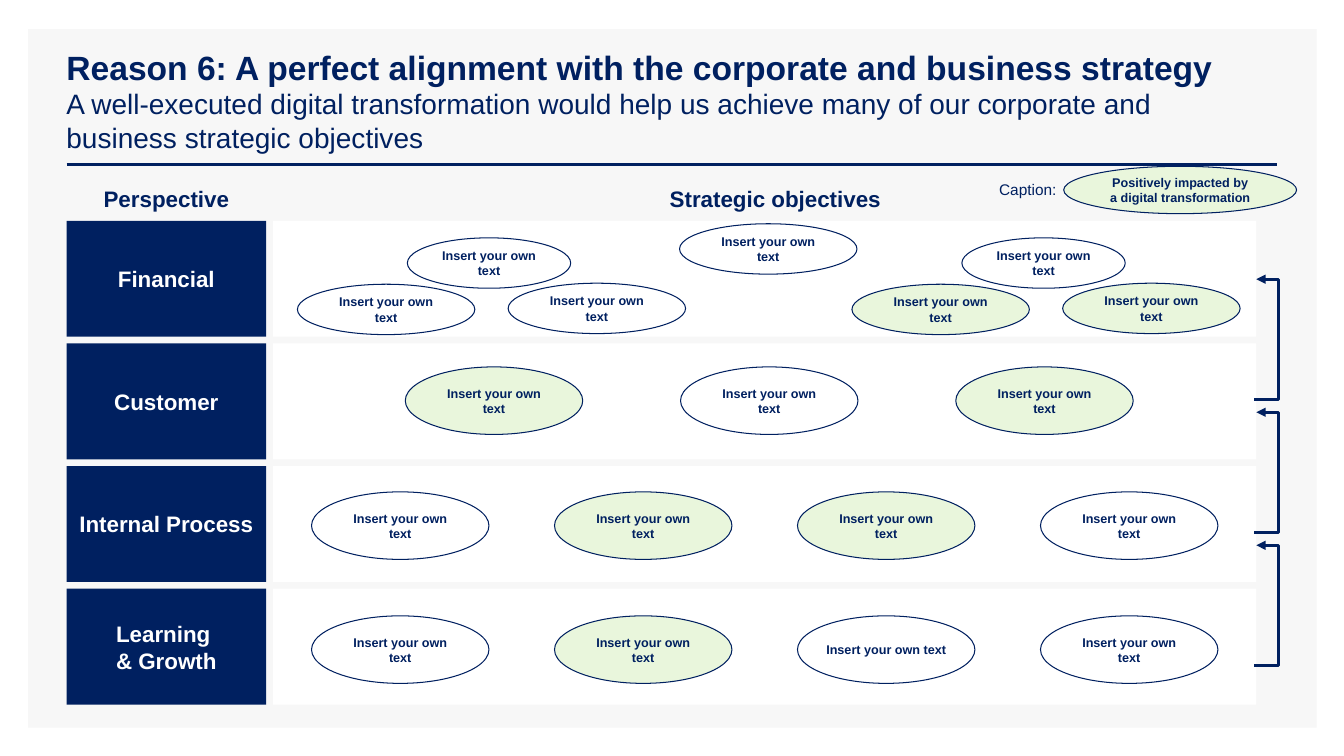
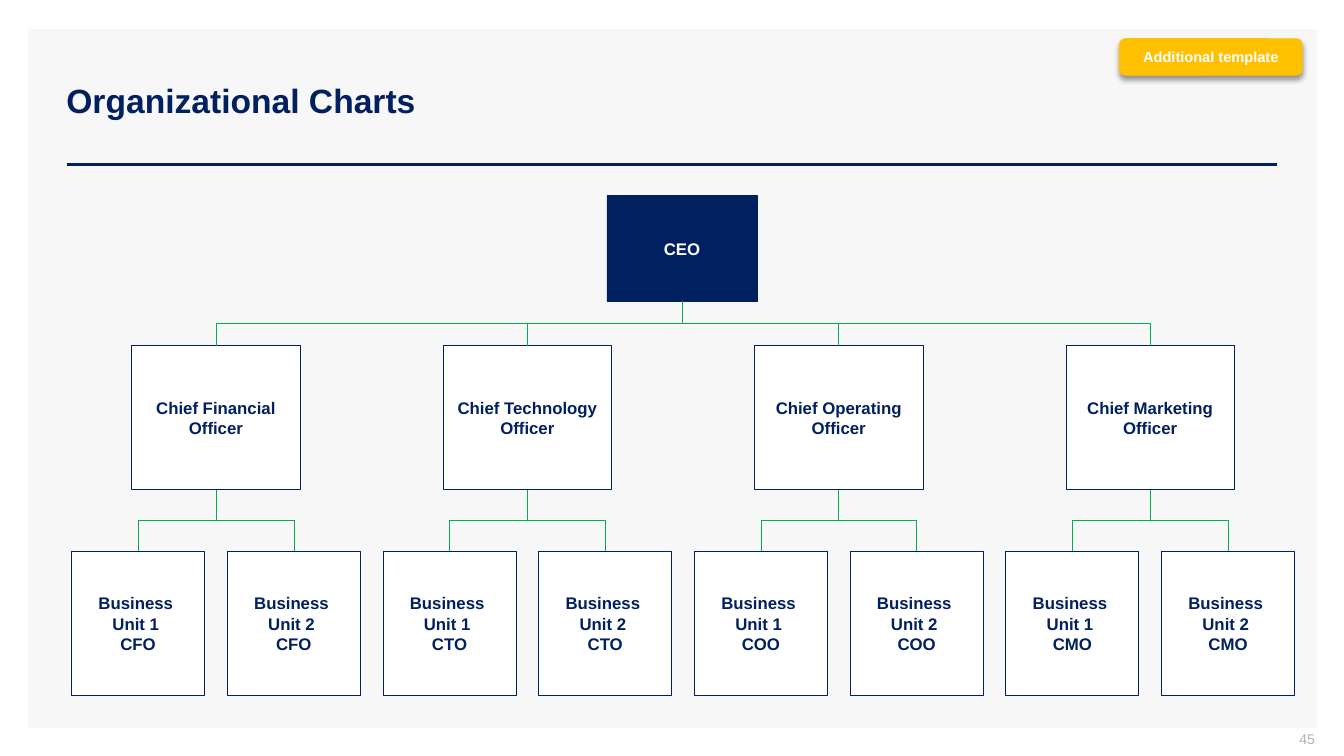
"""Build a strategy map slide and an organizational chart slide."""
from dataclasses import dataclass
from typing import NamedTuple

from lxml import etree
from pptx import Presentation
from pptx.dml.color import RGBColor
from pptx.enum.shapes import MSO_CONNECTOR, MSO_SHAPE
from pptx.enum.text import MSO_ANCHOR, PP_ALIGN
from pptx.oxml.ns import qn
from pptx.shapes.autoshape import Shape
from pptx.shapes.connector import Connector
from pptx.slide import Slide, SlideLayout
from pptx.util import Inches, Pt

RECTANGLE = MSO_SHAPE.RECTANGLE
ROUNDED = MSO_SHAPE.ROUNDED_RECTANGLE
OVAL = MSO_SHAPE.OVAL
STRAIGHT, ELBOW = MSO_CONNECTOR.STRAIGHT, MSO_CONNECTOR.ELBOW
LEFT, CENTER, RIGHT = PP_ALIGN.LEFT, PP_ALIGN.CENTER, PP_ALIGN.RIGHT
MIDDLE = MSO_ANCHOR.MIDDLE
TOP_SITE, BOTTOM_SITE = 0, 2


@dataclass(frozen=True)
class Theme:
    navy: RGBColor = RGBColor(0x00, 0x20, 0x60)
    white: RGBColor = RGBColor(0xFF, 0xFF, 0xFF)
    panel: RGBColor = RGBColor(0xF7, 0xF7, 0xF7)
    highlight: RGBColor = RGBColor(0xE9, 0xF6, 0xDC)
    green: RGBColor = RGBColor(0x00, 0xB0, 0x50)
    amber: RGBColor = RGBColor(0xFF, 0xC0, 0x00)
    gray: RGBColor = RGBColor(0xAD, 0xAF, 0xBB)
    font: str = "Arial"
    title: float = 24
    subtitle: float = 20
    heading: float = 16
    node: float = 12
    caption: float = 11
    badge: float = 10.5
    number: float = 10
    objective: float = 9


THEME = Theme()


class Box(NamedTuple):
    left: float
    top: float
    width: float
    height: float


class TextStyle(NamedTuple):
    size: float
    color: RGBColor = THEME.navy
    bold: bool = True
    align: PP_ALIGN = CENTER
    insets: tuple[float, float, float, float] = (0.1, 0.05, 0.1, 0.05)


class Objective(NamedTuple):
    box: Box
    impacted: bool
    side_inset: float = 0.1


class Officer(NamedTuple):
    title: str
    initials: str


TIGHT = (0, 0.05, 0, 0.05)
TITLE = TextStyle(THEME.title, align=LEFT)
SUBTITLE = TextStyle(THEME.subtitle, bold=False, align=LEFT)
HEADING = TextStyle(THEME.heading, insets=TIGHT)
ROW_LABEL = TextStyle(THEME.heading, THEME.white)
OBJECTIVE = TextStyle(THEME.objective)
CAPTION = TextStyle(THEME.caption, bold=False, align=RIGHT, insets=TIGHT)
BADGE = TextStyle(THEME.badge, THEME.white)
NUMBER = TextStyle(THEME.number, THEME.gray, False, RIGHT, (0.1, 0, 0, 0.05))
CEO = TextStyle(THEME.node, THEME.white, insets=(0.02, 0.02, 0.02, 0.02))
NODE = TextStyle(THEME.node, insets=(0.06, 0.02, 0.06, 0.02))

ROW_TOP, ROW_HEIGHT, ROW_PITCH = 2.19, 1.15, 3.65 / 3
PERSPECTIVES = ("Financial", "Customer", "Internal Process", "Learning \n& Growth")
OVAL_WIDTH, OVAL_HEIGHT, SMALL_WIDTH, SMALL_HEIGHT = 1.76, 0.67, 1.62, 0.5

UNIT_LEFT, UNIT_PITCH, UNIT_WIDTH = 0.71, 10.81 / 7, 1.32
OFFICER_WIDTH, NODE_HEIGHT = 1.67, 1.43
OFFICER_TOP, UNIT_TOP = 3.43, 5.47
OFFICERS = (
    Officer("Chief Financial Officer", "CFO"),
    Officer("Chief Technology Officer", "CTO"),
    Officer("Chief Operating Officer", "COO"),
    Officer("Chief Marketing Officer", "CMO"),
)


def write(shape: Shape, text: str, style: TextStyle, rest: TextStyle | None = None) -> None:
    """Write one paragraph per line; later lines may take another style."""
    frame = shape.text_frame
    left, top, right, bottom = map(Inches, style.insets)
    frame_format = {
        "word_wrap": True, "vertical_anchor": MIDDLE, "margin_left": left,
        "margin_top": top, "margin_right": right, "margin_bottom": bottom,
    }
    for name, value in frame_format.items():
        setattr(frame, name, value)
    for index, line in enumerate(text.split("\n")):
        look = rest if index and rest else style
        paragraph = frame.add_paragraph() if index else frame.paragraphs[0]
        paragraph.alignment = look.align
        run = paragraph.add_run()
        run.text = line
        run.font.color.rgb = look.color
        font_format = {"name": THEME.font, "size": Pt(look.size), "bold": look.bold}
        for name, value in font_format.items():
            setattr(run.font, name, value)


def add_text(slide: Slide, box: Box, text: str, style: TextStyle,
             rest: TextStyle | None = None) -> None:
    """Add a text box."""
    write(slide.shapes.add_textbox(*map(Inches, box)), text, style, rest)


def add_box(slide: Slide, kind: MSO_SHAPE, box: Box, fill: RGBColor, line_width: float = 0,
            text: str = "", style: TextStyle = NODE) -> Shape:
    """Add a flat filled shape with an optional navy outline and text."""
    shape = slide.shapes.add_shape(kind, *map(Inches, box))
    shape.shadow.inherit = False
    shape.fill.solid()
    shape.fill.fore_color.rgb = fill
    if line_width:
        shape.line.color.rgb = THEME.navy
        shape.line.width = Pt(line_width)
    else:
        shape.line.fill.background()
    if text:
        write(shape, text, style)
    return shape


def add_line(slide: Slide, kind: MSO_CONNECTOR, ends: tuple[float, float, float, float],
             color: RGBColor, width: float) -> Connector:
    """Add a connector without a shadow."""
    connector = slide.shapes.add_connector(kind, *map(Inches, ends))
    connector.line.color.rgb = color
    connector.line.width = Pt(width)
    etree.SubElement(connector._element.spPr, qn("a:effectLst"))
    return connector


def add_feedback(slide: Slide, bottom: float) -> None:
    """Add an arrow that loops right and up to the row above."""
    left, width, reach, height = 12.44, 0.02, 0.24, 1.19
    ends = (left, bottom, left + width, bottom - height)
    properties = add_line(slide, ELBOW, ends, THEME.navy, 2.25)._element.spPr
    guides = properties.find(qn("a:prstGeom")).find(qn("a:avLst"))
    bend = round(reach / width * 100000)
    etree.SubElement(guides, qn("a:gd"), name="adj1", fmla=f"val {bend}")
    etree.SubElement(properties.find(qn("a:ln")), qn("a:tailEnd"), type="triangle")


def join(slide: Slide, parent: Shape, child: Shape) -> None:
    """Join a parent's bottom to a child's top with an elbow."""
    connector = add_line(slide, ELBOW, (0, 0, 1, 1), THEME.green, 0.5)
    connector.begin_connect(parent, BOTTOM_SITE)
    connector.end_connect(child, TOP_SITE)
    start_x, start_y = parent.left + parent.width // 2, parent.top + parent.height
    end_x, end_y = child.left + child.width // 2, child.top
    drop, shift = end_y - start_y, abs(end_x - start_x)
    geometry = {
        "left": (start_x + end_x - drop) // 2, "top": (start_y + end_y - shift) // 2,
        "width": drop, "height": shift,
    }
    for name, value in geometry.items():
        setattr(connector, name, value)
    transform = connector._element.spPr.find(qn("a:xfrm"))
    for name in ("flipH", "flipV"):
        transform.attrib.pop(name, None)
    rightward = end_x > start_x
    transform.set("rot", str((270 if rightward else 90) * 60000))
    if rightward:
        transform.set("flipH", "1")


def install_frame(layout: SlideLayout, slide: Slide) -> None:
    """Move the shared panel and title rule to the layout."""
    panel = add_box(slide, RECTANGLE, Box(0.28, 0.29, 12.78, 6.93), THEME.panel)
    rule = add_line(slide, STRAIGHT, (0.66, 1.63, 12.67, 1.63), THEME.navy, 2)
    for item in (panel, rule):
        layout.shapes._spTree.append(item._element)


def add_title(slide: Slide, text: str) -> None:
    """Add the slide title with its optional subtitle."""
    add_text(slide, Box(0.56, 0.4, 12.11, 1.19), text, TITLE, SUBTITLE)


def spread(left: float, pitch: float, top: float, impacted: tuple[bool, ...],
           tight_index: int = -1) -> list[Objective]:
    """Lay out one evenly spaced row of objectives."""
    return [
        Objective(Box(left + index * pitch, top, OVAL_WIDTH, OVAL_HEIGHT), flag,
                  0 if index == tight_index else 0.1)
        for index, flag in enumerate(impacted)
    ]


def financial_objectives() -> list[Objective]:
    """Lay out the two clusters and the single objective between them."""
    objectives = [Objective(Box(6.74, 2.22, OVAL_WIDTH, SMALL_HEIGHT), False)]
    for left, impacted in ((2.95, False), (8.45, True)):
        objectives += [
            Objective(Box(left + 1.09, 2.36, SMALL_WIDTH, SMALL_HEIGHT), False),
            Objective(Box(left, 2.82, OVAL_WIDTH, SMALL_HEIGHT), impacted),
            Objective(Box(left + 2.09, 2.81, OVAL_WIDTH, SMALL_HEIGHT), impacted),
        ]
    return objectives


def build_strategy_map(slide: Slide) -> None:
    """Draw the strategy map."""
    add_title(slide, "Reason 6: A perfect alignment with the corporate and business strategy\n"
              "A well-executed digital transformation would help us achieve many of our "
              "corporate and business strategic objectives")
    for index, perspective in enumerate(PERSPECTIVES):
        top = ROW_TOP + index * ROW_PITCH
        add_box(slide, RECTANGLE, Box(2.71, top, 9.75, ROW_HEIGHT), THEME.white)
        add_box(slide, RECTANGLE, Box(0.66, top, 1.98, ROW_HEIGHT), THEME.navy,
                text=perspective, style=ROW_LABEL)
    add_text(slide, Box(0.66, 1.8, 1.98, 0.34), "Perspective", HEADING)
    add_text(slide, Box(2.71, 1.8, 9.96, 0.34), "Strategic objectives", HEADING)
    for index in range(len(PERSPECTIVES) - 1):
        add_feedback(slide, 6.6 - index * 1.32)
    objectives = (
        financial_objectives()
        + spread(4.02, 2.73, 3.64, (True, False, True))
        + spread(3.09, 2.41, 4.88, (False, True, True, False))
        + spread(3.09, 2.41, 6.11, (False, True, False, False), tight_index=2)
    )
    for box, impacted, inset in objectives:
        style = OBJECTIVE._replace(insets=(inset, 0.05, inset, 0.05))
        add_box(slide, OVAL, box, THEME.highlight if impacted else THEME.white, 0.75,
                "Insert your own text", style)
    add_text(slide, Box(8.5, 1.71, 1.98, 0.34), "Caption:", CAPTION)
    add_box(slide, OVAL, Box(10.55, 1.65, 2.31, 0.47), THEME.highlight, 0.75,
            "Positively impacted by a digital transformation", OBJECTIVE)


def add_badge(slide: Slide) -> None:
    """Add the corner badge with a soft shadow."""
    badge = add_box(slide, ROUNDED, Box(11.1, 0.38, 1.82, 0.37), THEME.amber,
                    text="Additional template", style=BADGE)
    effects = badge._element.spPr.find(qn("a:effectLst"))
    shadow = etree.SubElement(effects, qn("a:outerShdw"), blurRad=str(Pt(4)),
                              dist=str(Pt(3)), dir=str(90 * 60000), rotWithShape="0")
    color = etree.SubElement(shadow, qn("a:srgbClr"), val="000000")
    etree.SubElement(color, qn("a:alpha"), val="40000")


def build_organization(slide: Slide) -> None:
    """Draw the organizational chart."""
    add_title(slide, "Organizational Charts")
    add_text(slide, Box(10.04, 7.25, 3, 0.21), "45", NUMBER)
    chief = add_box(slide, RECTANGLE, Box(6.02, 1.94, 1.49, 1.05), THEME.navy, 0.5, "CEO", CEO)
    for index, (title, initials) in enumerate(OFFICERS):
        pair_left = UNIT_LEFT + 2 * index * UNIT_PITCH
        left = pair_left + (UNIT_PITCH + UNIT_WIDTH - OFFICER_WIDTH) / 2
        officer = add_box(slide, RECTANGLE, Box(left, OFFICER_TOP, OFFICER_WIDTH, NODE_HEIGHT),
                          THEME.white, 0.5, title)
        join(slide, chief, officer)
        for number in (1, 2):
            box = Box(pair_left + (number - 1) * UNIT_PITCH, UNIT_TOP, UNIT_WIDTH, NODE_HEIGHT)
            unit = add_box(slide, RECTANGLE, box, THEME.white, 0.5,
                           f"Business \nUnit {number} \n{initials}")
            join(slide, officer, unit)
    add_badge(slide)


def main() -> None:
    """Build and save the presentation."""
    presentation = Presentation()
    presentation.slide_width, presentation.slide_height = Inches(13.33), Inches(7.5)
    layout = presentation.slide_layouts[6]
    strategy, organization = (presentation.slides.add_slide(layout) for _ in range(2))
    install_frame(layout, strategy)
    build_strategy_map(strategy)
    build_organization(organization)
    presentation.save("out.pptx")


if __name__ == "__main__":
    main()
